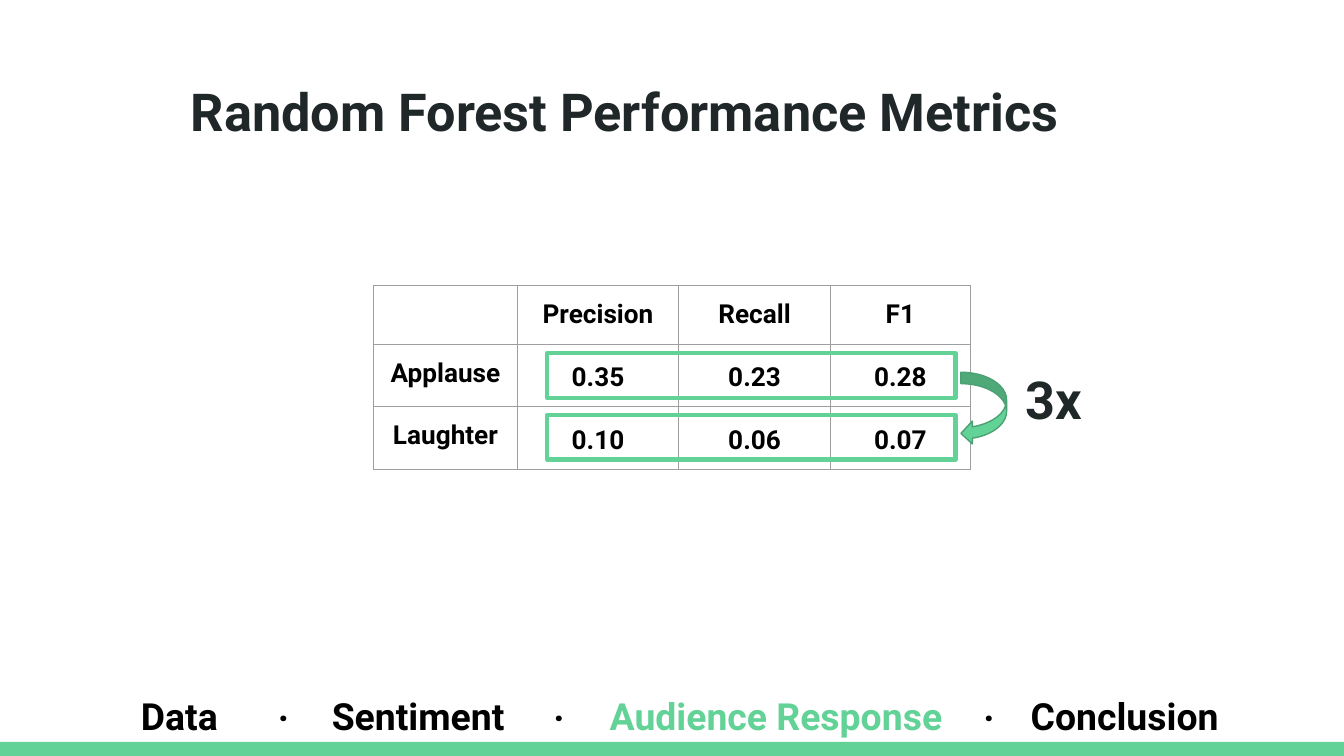
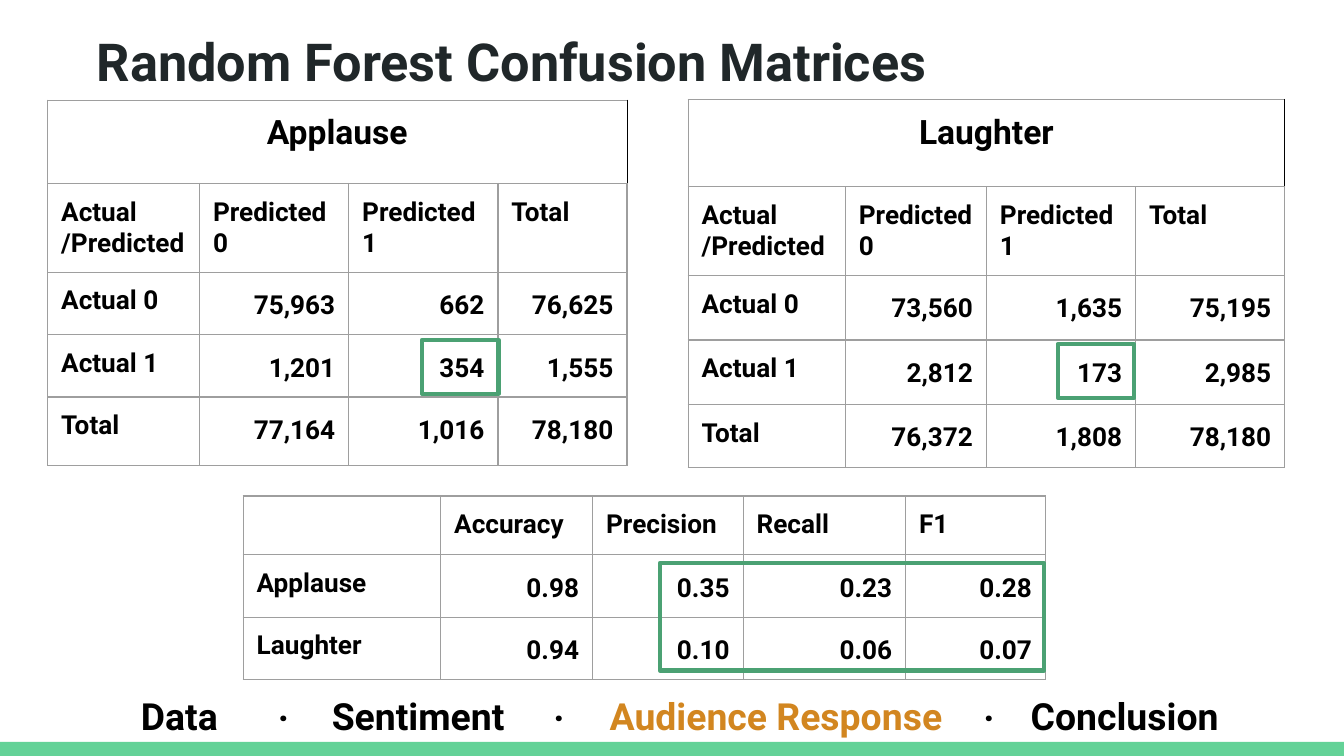
from lxml.etree import SubElement
from pptx import Presentation
from pptx.dml.color import RGBColor
from pptx.enum.shapes import MSO_SHAPE
from pptx.enum.text import MSO_ANCHOR, MSO_AUTO_SIZE, PP_ALIGN
from pptx.oxml.ns import qn
from pptx.util import Inches, Pt

COLORS = {
    "title": "202729",
    "text": "000000",
    "green": "63D297",
    "dark_green": "4BA173",
    "orange": "D28620",
    "grid": "9E9E9E",
}
FONT = "Roboto"
COLS, ROWS = 100, 56.25
CELL = Inches(0.1)
INSET = CELL
NAV = [("Data", 9.5, 8.8), ("Sentiment", 23.7, 20.5),
       ("Audience Response", 41.6, 32.3), ("Conclusion", 75.7, 19)]
DOTS = [19.7, 40.2, 72.2]
LEFT, CENTER, RIGHT = PP_ALIGN.LEFT, PP_ALIGN.CENTER, PP_ALIGN.RIGHT
SCORE_HEADS = ["Precision", "Recall", "F1"]
SCORES = [["Applause", "0.35", "0.23", "0.28"],
          ["Laughter", "0.10", "0.06", "0.07"]]
SCORE_ROWS = [4.3, 4.65, 4.65]
MATRIX_HEADS = ["Actual /Predicted", "Predicted 0", "Predicted 1", "Total"]


def grid(*cells):
    """Turn grid cells into lengths."""
    return [round(n * CELL) for n in cells]


def rgb(name):
    """Look up a palette colour."""
    return RGBColor.from_string(COLORS[name])


def write(tf, text, size, color="text", align=LEFT, spacing=None):
    """Set one bold paragraph in a text frame."""
    tf.text = text
    p = tf.paragraphs[0]
    p.alignment = align
    if spacing:
        p.line_spacing = spacing
    for r in p.runs:
        r.font.name = FONT
        r.font.size = Pt(size)
        r.font.bold = True
        r.font.color.rgb = rgb(color)


def format_frame(tf):
    """Give a text frame the shared insets, wrap and anchor."""
    tf.margin_left = tf.margin_right = tf.margin_top = tf.margin_bottom = INSET
    tf.word_wrap = True
    tf.auto_size = MSO_AUTO_SIZE.NONE
    tf.vertical_anchor = MSO_ANCHOR.TOP


def add_text(slide, text, box, size, color="text", align=LEFT):
    """Add a text box."""
    tf = slide.shapes.add_textbox(*grid(*box)).text_frame
    format_frame(tf)
    write(tf, text, size, color, align)


def add_shape(slide, kind, box, fill=None, line=None, width=0.75):
    """Add a preset shape without shadow."""
    sp = slide.shapes.add_shape(kind, *grid(*box))
    sp.shadow.inherit = False
    if fill:
        sp.fill.solid()
        sp.fill.fore_color.rgb = rgb(fill)
    else:
        sp.fill.background()
    if line:
        sp.line.color.rgb = rgb(line)
        sp.line.width = Pt(width)
    else:
        sp.line.fill.background()


def add_highlight(slide, box, color):
    """Frame part of a table."""
    add_shape(slide, MSO_SHAPE.RECTANGLE, box, line=color, width=2.25)


def set_border(cell, side, color, width):
    """Draw one border of a table cell."""
    ln = SubElement(cell._tc.get_or_add_tcPr(), qn(f"a:ln{side}"), w=str(Pt(width)))
    fill = SubElement(ln, qn("a:solidFill"))
    SubElement(fill, qn("a:srgbClr"), val=COLORS[color])


def format_cell(cell, black_right=False):
    """Set the insets, borders and fill of a table cell."""
    cell.margin_left = cell.margin_right = INSET
    cell.margin_top = cell.margin_bottom = INSET
    for side in "LRTB":
        if side == "R" and black_right:
            set_border(cell, side, "text", 0.49)
        else:
            set_border(cell, side, "grid", 0.75)
    cell.fill.background()


def add_table(slide, origin, widths, heights, rows, label=LEFT, number=RIGHT, title=None):
    """Add a bordered table, with a merged title row if a title is given."""
    body = ([[title] + [""] * (len(widths) - 1)] if title else []) + rows
    first_number = 2 if title else 1
    frame = slide.shapes.add_table(len(body), len(widths),
                                   *grid(*origin, sum(widths), sum(heights)))
    table = frame.table
    table.first_row = table.horz_banding = False
    for col, width in zip(table.columns, grid(*widths)):
        col.width = width
    for row, height in zip(table.rows, grid(*heights)):
        row.height = height
    for i, values in enumerate(body):
        is_title = bool(title) and i == 0
        for j, value in enumerate(values):
            cell = table.cell(i, j)
            format_cell(cell, black_right=is_title)
            tf = cell.text_frame
            if not value:
                tf.paragraphs[0]._p.get_or_add_endParaRPr().set("sz", "1400")
            elif is_title:
                write(tf, value, 18, align=CENTER)
            elif i >= first_number and j:
                write(tf, value, 14, align=number, spacing=1.15)
            else:
                write(tf, value, 14, align=label)
    if title:
        table.cell(0, 0).merge(table.cell(0, len(widths) - 1))


def new_slide(prs, title, left, top, active):
    """Add a slide with its title, bottom band and section bar."""
    slide = prs.slides.add_slide(prs.slide_layouts[5])
    sp = slide.shapes.title
    sp.left, sp.top, sp.width, sp.height = grid(left, top, 83.4, 6.3)
    format_frame(sp.text_frame)
    write(sp.text_frame, title, 28, "title")
    add_shape(slide, MSO_SHAPE.RECTANGLE, (0, ROWS - 1.05, COLS, 1.05), fill="green")
    for name, x, width in NAV:
        current = name == "Audience Response"
        add_text(slide, name, (x, 50.6, width, 4), 20,
                 active if current else "text", CENTER if current else LEFT)
    for x in DOTS:
        add_text(slide, ".", (x, 49.9, 4.8, 2.4), 20)
    return slide


def metrics_slide(prs):
    """Build the slide that compares the two sets of scores."""
    slide = new_slide(prs, "Random Forest Performance Metrics", 13.2, 4.9, "green")
    add_table(slide, (27.8, 21.25), [10.7, 12, 11.3, 10.4], SCORE_ROWS,
              [[""] + SCORE_HEADS] + SCORES, label=CENTER, number=CENTER)
    for i in range(len(SCORES)):
        add_highlight(slide, (40.7, 26.3 + 4.6 * i, 30.4, 3.3), "green")
    add_shape(slide, MSO_SHAPE.CURVED_LEFT_ARROW, (71.5, 27.7, 3.4, 5.4),
              "green", "dark_green")
    add_text(slide, "3x", (75.3, 26.3, 7.4, 6.3), 28, "title")


def matrices_slide(prs):
    """Build the slide with both confusion matrices and the scores."""
    slide = new_slide(prs, "Random Forest Confusion Matrices", 6.2, 1.2, "orange")
    add_table(slide, (51.2, 7.4), [11.7, 10.5, 11.1, 11.1], [6.5, 6.6, 4.8, 4.8, 4.7],
              [MATRIX_HEADS,
               ["Actual 0", "73,560", "1,635", "75,195"],
               ["Actual 1", "2,812", "173", "2,985"],
               ["Total", "76,372", "1,808", "78,180"]], title="Laughter")
    add_table(slide, (3.55, 7.45), [11.3, 11.1, 11.1, 9.6], [6.2, 6.5, 4.65, 4.65, 5.1],
              [MATRIX_HEADS,
               ["Actual 0", "75,963", "662", "76,625"],
               ["Actual 1", "1,201", "354", "1,555"],
               ["Total", "77,164", "1,016", "78,180"]], title="Applause")
    accuracy = ["0.98", "0.94"]
    rows = [[name, acc, *rest] for (name, *rest), acc in zip(SCORES, accuracy)]
    add_table(slide, (18.1, 36.9), [14.7, 11.3, 11.2, 12.1, 10.4], SCORE_ROWS,
              [["", "Accuracy"] + SCORE_HEADS] + rows)
    for box in [(31.4, 25.3, 5.7, 4), (49.1, 41.9, 28.6, 8), (78.7, 25.6, 5.7, 4)]:
        add_highlight(slide, box, "dark_green")


def main():
    """Build and save the presentation."""
    prs = Presentation()
    prs.slide_width, prs.slide_height = grid(COLS, ROWS)
    metrics_slide(prs)
    matrices_slide(prs)
    prs.save("out.pptx")


main()
